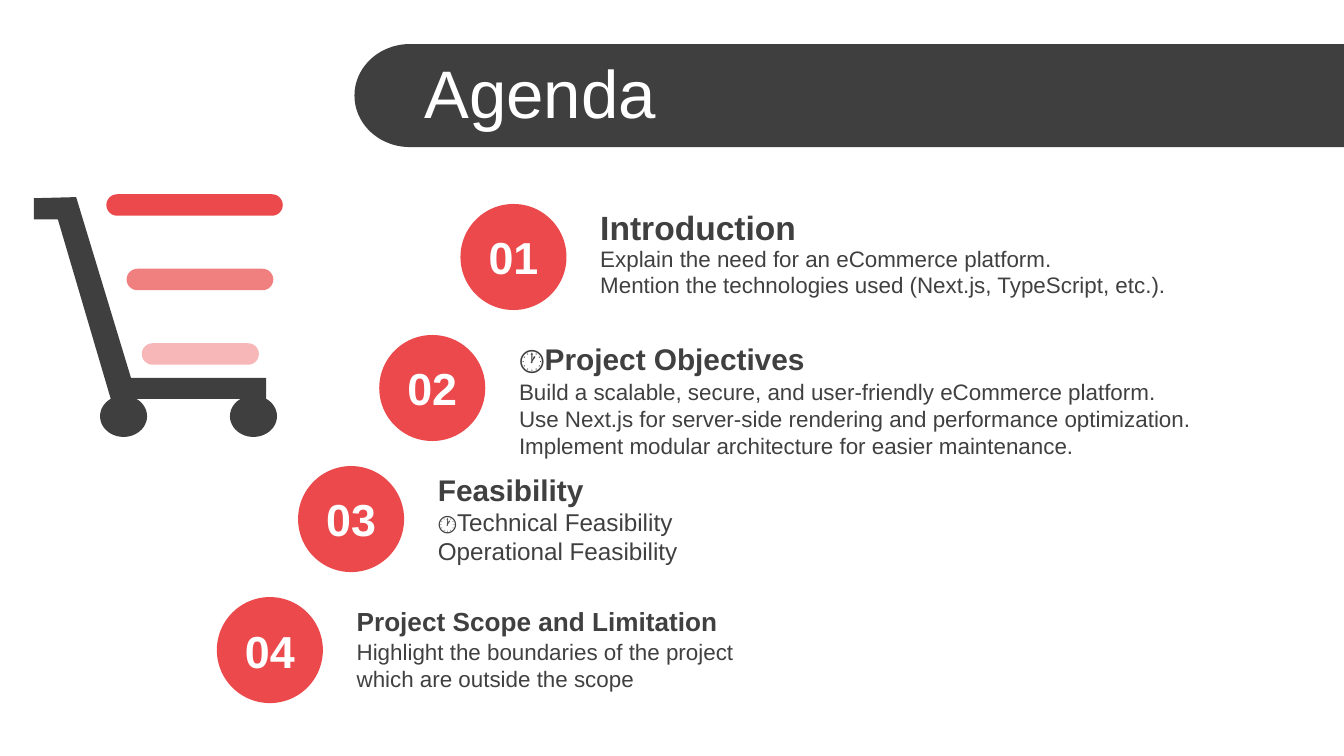
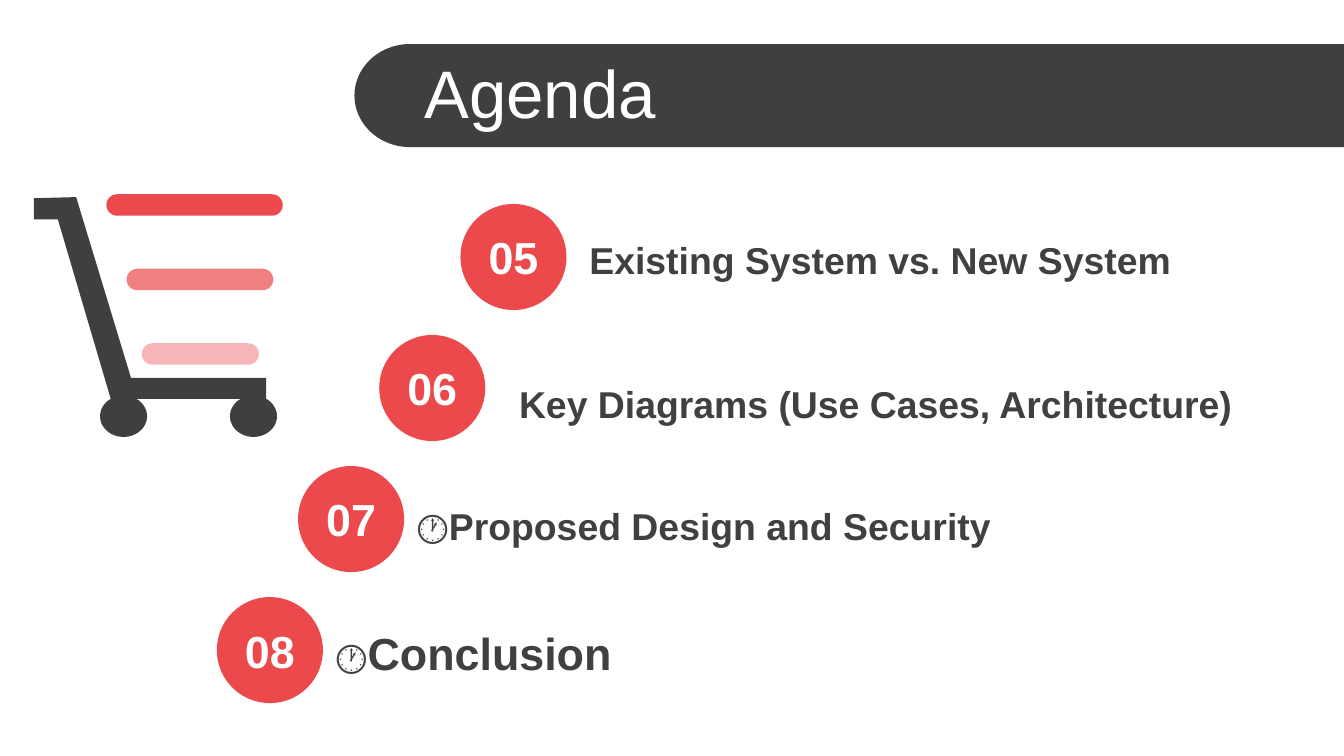
from dataclasses import dataclass
from math import cos, radians, sin

from lxml.etree import SubElement
from pptx import Presentation
from pptx.dml.color import RGBColor
from pptx.enum.shapes import MSO_SHAPE
from pptx.enum.text import MSO_ANCHOR, PP_ALIGN
from pptx.oxml.ns import qn
from pptx.util import Pt


# Theme: colours, font and type sizes
@dataclass(frozen=True)
class Theme:
    dark: str = "3F3F3F"
    text: str = "404040"
    accent: str = "EB494B"
    white: str = "FFFFFF"
    font: str = "Arial"
    title_size: int = 36
    number_size: int = 24
    body_size: int = 12


THEME = Theme()

# Layout, in points
SLIDE_WIDTH, SLIDE_HEIGHT = 720, 405
CIRCLE_LEFT, CIRCLE_TOP, CIRCLE_SIZE = 246.7, 109.3, 56.8
STEP_LEFT, STEP_DOWN = 43.5, 70.2
TEXT_WIDTH = 363
HEADING_CENTRE, BODY_TOP = 12.6, 18.2


@dataclass(frozen=True)
class AgendaItem:
    """Each line is a list of (text, size) spans."""
    heading: list
    body: tuple = ()
    indent: float = 67.8
    heading_centre: float = HEADING_CENTRE
    heading_width: float = TEXT_WIDTH
    body_width: float = TEXT_WIDTH
    body_height: float | None = None


def body_lines(*texts):
    return tuple([(text, THEME.body_size)] for text in texts)


AGENDAS = [
    [
        AgendaItem([("Introduction", 18)], body_lines(
            "Explain the need for an eCommerce platform.",
            "Mention the technologies used (Next.js, TypeScript, etc.).")),
        AgendaItem([("🕐Project Objectives", 16)], body_lines(
            "Build a scalable, secure, and user-friendly eCommerce platform.",
            "Use Next.js for server-side rendering and performance optimization.",
            "Implement modular architecture for easier maintenance."),
            body_width=412.5, body_height=53.3),
        AgendaItem([("Feasibility", 16)], (
            [("🕐", 12), ("Technical Feasibility", 13)],
            [("Operational Feasibility", 13)])),
        AgendaItem([("Project Scope and Limitation", 14)], body_lines(
            "Highlight the boundaries of the project",
            "which are outside the scope")),
    ],
    [
        AgendaItem([("Existing System vs. New System", 20)],
                   indent=62, heading_centre=29.5),
        AgendaItem([("Key Diagrams (Use Cases, Architecture)", 20)],
                   heading_centre=36.5, heading_width=427),
        AgendaItem([("🕐Proposed Design and Security", 20)],
                   indent=56.4, heading_centre=32),
        AgendaItem([("🕐", 20), ("Conclusion", 24)],
                   indent=56.4, heading_centre=29.5),
    ],
]


def write(para, text, *, size, color=THEME.text, bold=False, align=PP_ALIGN.LEFT):
    para.alignment = align
    span = para.add_run()
    span.text = text
    span.font.name = THEME.font
    span.font.size = Pt(size)
    span.font.bold = bold
    span.font.color.rgb = RGBColor.from_string(color)


def text_height(lines):
    return 7.2 + sum(1.2 * max(size for _, size in line) for line in lines)


def arc(centre_x, centre_y, radius_x, radius_y, start, end, steps=40):
    angles = [radians(start + (end - start) * i / steps) for i in range(steps + 1)]
    return [(centre_x + radius_x * cos(a), centre_y + radius_y * sin(a))
            for a in angles]


class SlidePainter:
    def __init__(self, deck):
        self.deck = deck
        self.theme = THEME
        self.slide = None

    def new_slide(self):
        self.slide = self.deck.slides.add_slide(self.deck.slide_layouts[6])

    def paint(self, shape, color, opacity=100):
        shape.shadow.inherit = False
        shape.line.fill.background()
        shape.fill.solid()
        shape.fill.fore_color.rgb = RGBColor.from_string(color)
        if opacity < 100:
            tint = next(shape.fill._xPr.iter(qn("a:srgbClr")))
            SubElement(tint, qn("a:alpha"), val=str(opacity * 1000))

    def shape(self, kind, left, top, width, height, color, opacity=100):
        shape = self.slide.shapes.add_shape(
            kind, Pt(left), Pt(top), Pt(width), Pt(height))
        self.paint(shape, color, opacity)
        return shape

    def outline(self, points, color):
        corners = [(Pt(x), Pt(y)) for x, y in points]
        builder = self.slide.shapes.build_freeform(*corners[0])
        builder.add_line_segments(corners[1:], close=True)
        self.paint(builder.convert_to_shape(), color)

    def text(self, lines, left, top, width, height, **text_format):
        box = self.slide.shapes.add_textbox(Pt(left), Pt(top), Pt(width), Pt(height))
        frame = box.text_frame
        frame.word_wrap = True
        frame.vertical_anchor = MSO_ANCHOR.MIDDLE
        for index, line in enumerate(lines):
            para = frame.add_paragraph() if index else frame.paragraphs[0]
            for text, size in line:
                write(para, text, size=size, **text_format)

    # Title band, rounded at its left end
    def title(self, text):
        top, bottom = 23.6, 78.8
        end_cap = arc(219.6, (top + bottom) / 2, 29.7, (bottom - top) / 2, 90, 270)
        self.outline(end_cap + [(SLIDE_WIDTH, top), (SLIDE_WIDTH, bottom)],
                     self.theme.dark)
        self.text([[(text, self.theme.title_size)]], 220.3, 26.6, 499.7, 45.4,
                  color=self.theme.white)

    # Numbered circles stepping down to the left, with their texts
    def agenda(self, items, first_number):
        places = [(CIRCLE_LEFT - i * STEP_LEFT, CIRCLE_TOP + i * STEP_DOWN)
                  for i in range(len(items))]
        for left, top in places:
            self.shape(MSO_SHAPE.OVAL, left, top, CIRCLE_SIZE, CIRCLE_SIZE,
                       self.theme.accent)
        for item, (left, top) in zip(items, places):
            self.item(item, left + item.indent, top)
        for number, (left, top) in enumerate(places, first_number):
            line = [(f"{number:02}", self.theme.number_size)]
            height = text_height([line])
            self.text([line], left, top + (CIRCLE_SIZE - height) / 2,
                      CIRCLE_SIZE, height, color=self.theme.white, bold=True,
                      align=PP_ALIGN.CENTER)

    def item(self, item, left, top):
        if item.body:
            self.text(item.body, left, top + BODY_TOP, item.body_width,
                      item.body_height or text_height(item.body))
        height = text_height([item.heading])
        self.text([item.heading], left, top + item.heading_centre - height / 2,
                  item.heading_width, height, bold=True)

    # Shopping cart: frame with two wheels, and three fading bars
    def cart(self):
        front_wheel, rear_wheel = (
            arc(centre, 223, 12.6, 11.1, -57, 237) for centre in (135.8, 66.2))
        self.outline(
            [(70.2, 202.5), (142.6, 202.5), (142.6, 213.8)]
            + front_wheel + rear_wheel
            + [(31, 117.5), (18.2, 117.5), (18.2, 106.2), (40.8, 105.6)],
            self.theme.dark)
        bars = [(57, 94.5, 100), (67.8, 78.6, 70), (76, 62.7, 40)]
        for index, (left, width, opacity) in enumerate(bars):
            bar = self.shape(MSO_SHAPE.ROUNDED_RECTANGLE, left, 104.1 + 39.9 * index,
                             width, 11.5, self.theme.accent, opacity)
            bar.adjustments[0] = 0.5


def main():
    deck = Presentation()
    deck.slide_width, deck.slide_height = Pt(SLIDE_WIDTH), Pt(SLIDE_HEIGHT)
    painter = SlidePainter(deck)
    first_number = 1
    for items in AGENDAS:
        painter.new_slide()
        painter.title("Agenda")
        painter.agenda(items, first_number)
        painter.cart()
        first_number += len(items)
    deck.save("out.pptx")


if __name__ == "__main__":
    main()
